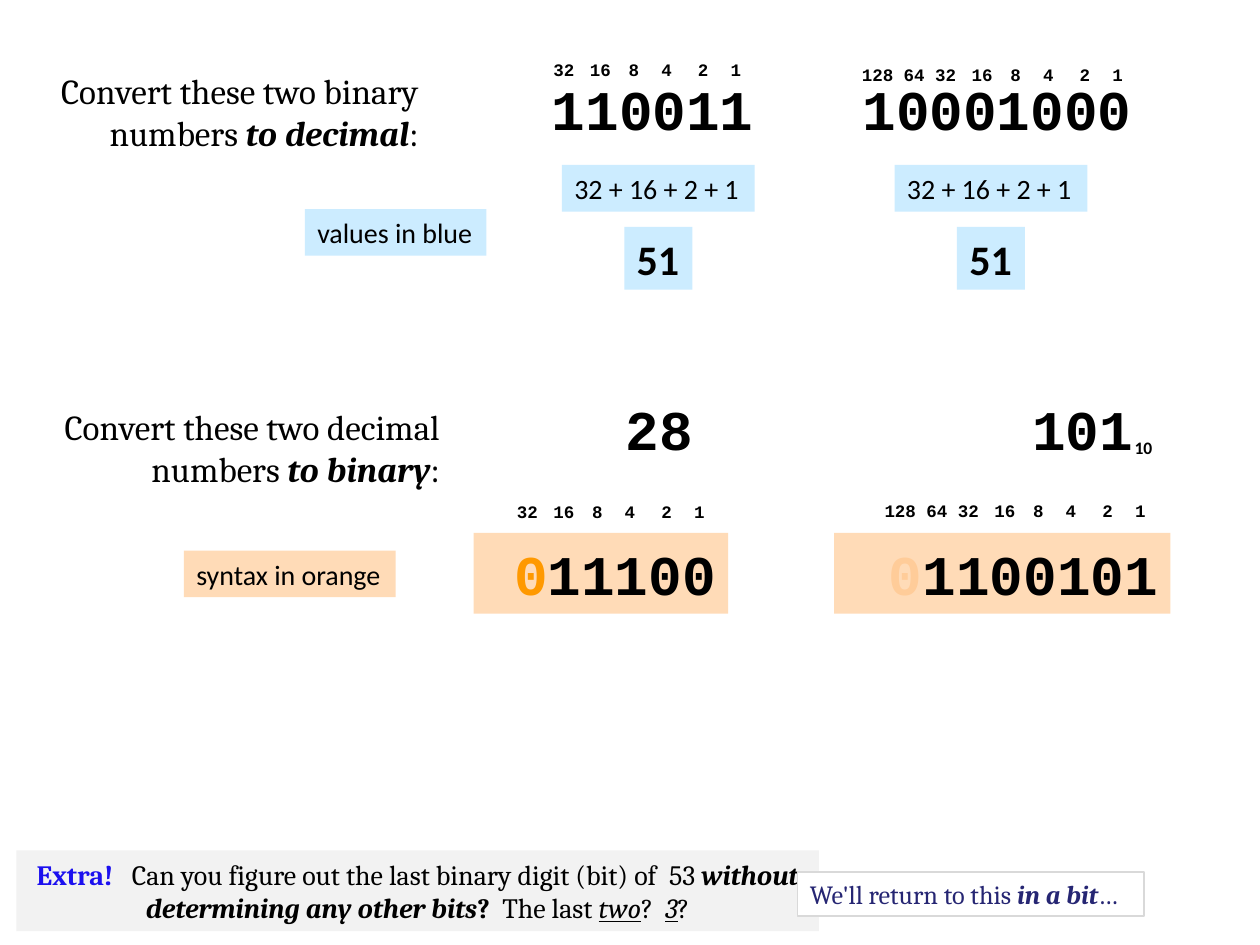
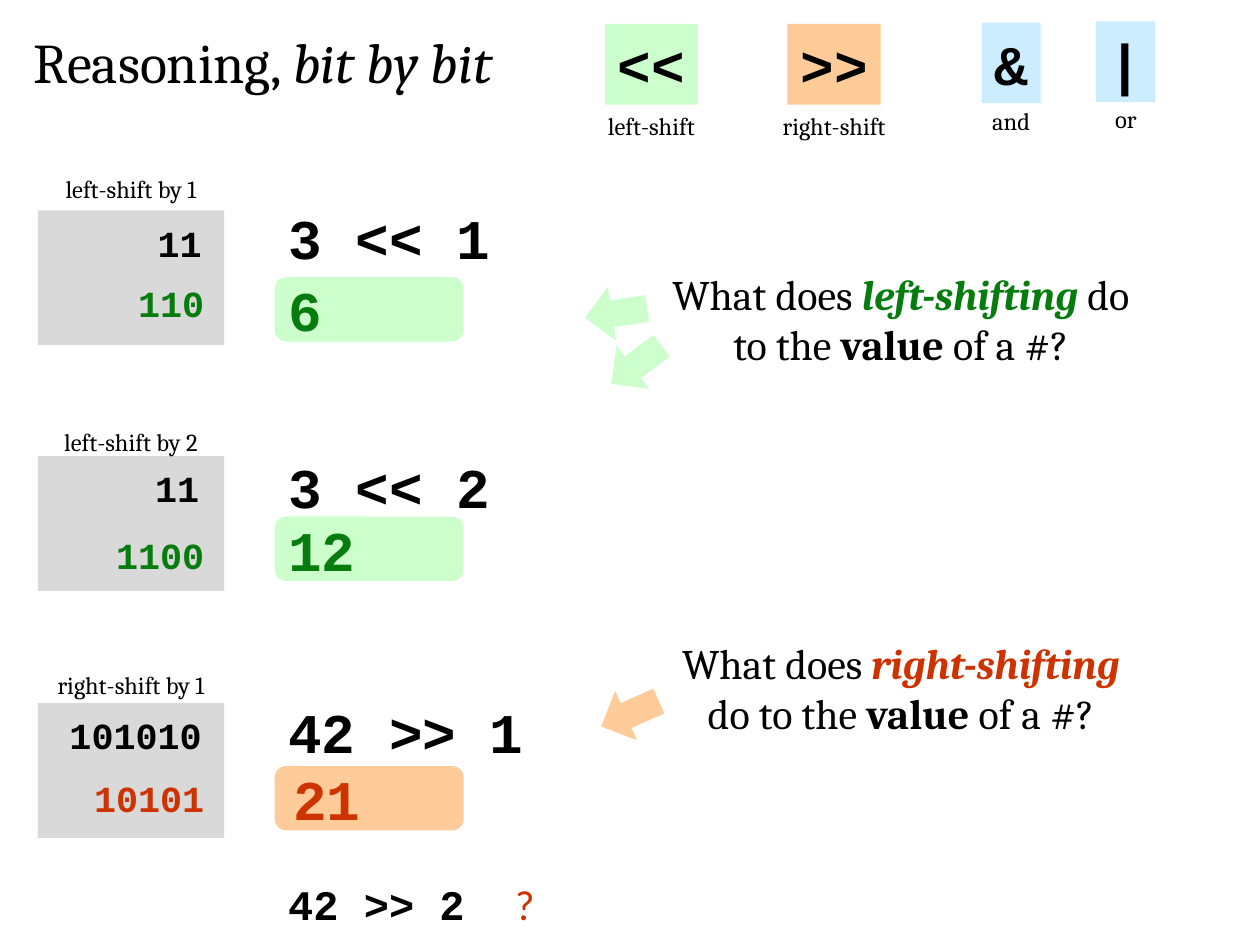
"""Build two slides on binary conversion and bit shifting, on a grid of 100 columns by 75 rows."""
from pptx import Presentation
from pptx import util as u
from pptx.dml.color import RGBColor
from pptx.enum import shapes, text

hues = {
    "black": "000000", "white": "FFFFFF", "sky": "CCECFF", "peach": "FFDBB7",
    "amber": "FF9900", "tan": "FFCC99", "mint": "CCFFCC", "green": "067B0E",
    "rust": "CC3300", "grey": "D9D9D9", "pale": "F2F2F2", "blue": "1C10EF",
    "navy": "262673",
}
forms = shapes.MSO_SHAPE
left, mid, right = text.PP_ALIGN.LEFT, text.PP_ALIGN.CENTER, text.PP_ALIGN.RIGHT
code = {"name": "Courier New", "size": u.Pt(32), "bold": True}
bits = {**code, "size": u.Pt(21)}
tiny = {**code, "size": u.Pt(10)}
sans = {"name": "Calibri", "size": u.Pt(16), "bold": False}
serif = {"name": "Cambria", "size": u.Pt(20), "bold": False}
title = {**serif, "size": u.Pt(32)}
note = {**serif, "size": u.Pt(14)}
ask = {**serif, "size": u.Pt(24)}
strong = {"bold": True}
slant = {"italic": True}
both = {**strong, **slant}
under = {**slant, "underline": True}

deck = Presentation()
deck.slide_width, deck.slide_height = u.Inches(10), u.Inches(7.5)
col, row = deck.slide_width / 100, deck.slide_height / 75


def block(page, box, fill=None, form=forms.RECTANGLE, line=None, turn=0):
    """Add a filled shape, or a bare text box when there is no fill."""
    x, y, w, h = box
    place = [round(v) for v in (x * col, y * row, w * col, h * row)]
    if not fill:
        return page.shapes.add_textbox(*place)
    item = page.shapes.add_shape(form, *place)
    item.shadow.inherit = False
    item.rotation = turn
    item.fill.solid()
    item.fill.fore_color.rgb = RGBColor.from_string(hues[fill])
    if line:
        item.line.color.rgb = RGBColor.from_string(hues[line[0]])
        item.line.width = u.Pt(line[1])
    else:
        item.line.fill.background()
    return item


def write(page, box, runs, style, side=left, wrap=True, **look):
    """Add a text block; each run is text, ink, changed font values and extra letter gap."""
    frame = block(page, box, **look).text_frame
    frame.word_wrap = wrap
    frame.auto_size = text.MSO_AUTO_SIZE.SHAPE_TO_FIT_TEXT
    para = frame.paragraphs[0]
    para.alignment = side
    for part in [(runs,)] if isinstance(runs, str) else runs:
        words, ink, change, gap = (*part, *("black", {}, 0)[len(part) - 1:])
        run = para.add_run()
        run.text = words
        for key, value in {**style, **change}.items():
            setattr(run.font, key, value)
        run.font.color.rgb = RGBColor.from_string(hues[ink])
        if gap:
            run.font._element.set("spc", str(gap))


blank = deck.slide_layouts[6]
page = deck.slides.add_slide(blank)

for y, w, kind, goal in ((5, 32.5, "binary", "to decimal"), (31.7, 34.2, "decimal", "to binary")):
    runs = [(f"Convert these two {kind} numbers ",), (goal, "black", both), (":",)]
    write(page, (1.7, y, w, 7.7), runs, serif, right)

for x, y, w, digits in ((35, 5.4, 25.8, "110011"), (65, 5.4, 25.8, "10001000"),
                        (79.2, 30.8, 11.7, "101"), (44.3, 30.8, 11.7, "28")):
    write(page, (x, y, w, 6.3), digits, code, right)
write(page, (89, 34.2, 3.5, 2.7), "10", {**tiny, "name": "Calibri"}, mid, False)

shifts = (0, 2.6, 5.5, 8.1, 10.75, 13.65, 16.15, 19.05)
for x, y, count in ((58.4, 4.2, 6), (88.7, 4.6, 8), (55.5, 39.3, 6), (90.5, 39.2, 8)):
    for power, shift in enumerate(shifts[:count]):
        value = str(2 ** power)
        w = 1.95 + 0.85 * len(value)
        write(page, (x - shift - w / 2, y, w, 2.7), value, tiny, mid, False)

for x in (44.6, 71):
    write(page, (x, 13.1, 15.3, 3.7), "32 + 16 + 2 + 1", sans, wrap=False, fill="sky")
    write(page, (x + 4.95, 18, 5.4, 5), "51", {**sans, "size": u.Pt(24), **strong},
          wrap=False, fill="sky")
write(page, (24.2, 16.6, 14.4, 3.7), "values in blue", sans, wrap=False, fill="sky")
write(page, (14.6, 43.7, 16.8, 3.7), "syntax in orange", sans, wrap=False, fill="peach")
for x, w, ink, rest in ((37.6, 20.2, "amber", "11100"), (66.2, 26.7, "tan", "1100101")):
    write(page, (x, 42.3, w, 6.4), [("0", ink), (rest,)], code, right, fill="peach")

extra = [
    ("Extra!", "blue", strong), (" ", "black", {}, 700),
    ("Can you figure out the last binary digit (bit) of",), (" ", "black", {}, 350),
    ("53 ",), ("without determining any other bits", "black", both),
    ("?", "black", strong), (" ", "black", {}, 350), ("The last ",),
    ("two", "black", under), ("?",), (" ", "black", {}, 350), ("3", "black", under), ("?",),
]
write(page, (1.3, 67.5, 63.7, 6.4), extra, {**serif, "size": u.Pt(16)}, mid, fill="pale")
later = [("We'll return to this ", "navy"), ("in a bit", "navy", both), ("…", "navy")]
write(page, (63.3, 69.2, 27.5, 3.5), later, {**serif, "size": u.Pt(15)},
      fill="white", line=("grey", 0.75))

page = deck.slides.add_slide(blank)
write(page, (1.7, 1.7, 43.3, 6.4), [("Reasoning, ",), ("bit by bit", "black", slant)], title)

for x, y, w, sign, fill, name, span in (
        (48, 1.9, 7.4, "<<", "mint", "left-shift", 11.7),
        (62.5, 1.9, 7.4, ">>", "tan", "right-shift", 10.8),
        (77.9, 1.8, 4.7, "&", "sky", "and", 6.6),
        (87, 1.7, 4.7, "|", "sky", "or", 6.6)):
    write(page, (x, y, w, 6.4), sign, code, mid, False, fill=fill)
    drop = 6.4 if len(sign) == 2 else 6.1
    write(page, (x + w / 2 - span / 2, y + drop, span, 3.4), name, note, mid)

for y, head, tag, sum_, top, pill, ans, end, before, after, low, ink, fill in (
        (16.7, 13.3, "left-shift by 1", "3 << 1", 15.7, 22.1, "6", 17, "11", "110", 21.8, "green", "mint"),
        (36.2, 33.4, "left-shift by 2", "3 << 2", 35.4, 41.1, "12", 16.8, "11", "1100", 41.8, "green", "mint"),
        (55.8, 52.7, "right-shift by 1", "42 >> 1", 54.9, 60.9, "21", 17, "101010", "10101", 61.1, "rust", "tan")):
    block(page, (3, y, 14.8, 10.7), "grey")
    block(page, (21.9, pill, 14.8, 4.9), fill, forms.ROUNDED_RECTANGLE, (fill, 1.5))
    write(page, (2.9, head, 15, 3.4), tag, note, mid)
    write(page, (21.9, top, 23.9, 6.4), sum_, code)
    write(page, (22.3 if ink == "rust" else 21.9, pill - 0.7, 9, 6.4), [(ans, ink)], code)
    write(page, (end - 13.3, y + 0.3, 13.3, 4.5), before, bits, right)
    write(page, (4.1, low, 13.1, 4.5), [(after, ink)], bits, right)

for y, verb, ink in ((20.8, "left-shifting", "green"), (50.1, "right-shifting", "rust")):
    runs = [("What does ",), (verb, ink, both), (" do to the ",),
            ("value", "black", strong), (" of a #?",)]
    write(page, (51.2, y, 40.6, 9.1), runs, ask, mid)

for x, y, turn, fill in ((46.4, 22.7, 171.6, "mint"), (48, 26.8, 142.8, "mint"),
                         (47.5, 54.5, 156.1, "tan")):
    block(page, (x, y, 5, 4.3), fill, forms.RIGHT_ARROW, turn=turn)

quiz = [("42 >> 2",), (" ", "black", {}, 1440),
        ("?", "rust", {"name": "Calibri", "bold": False})]
write(page, (11.3, 69.2, 32.1, 5), quiz, {**code, "size": u.Pt(24)}, right)

deck.save("out.pptx")
